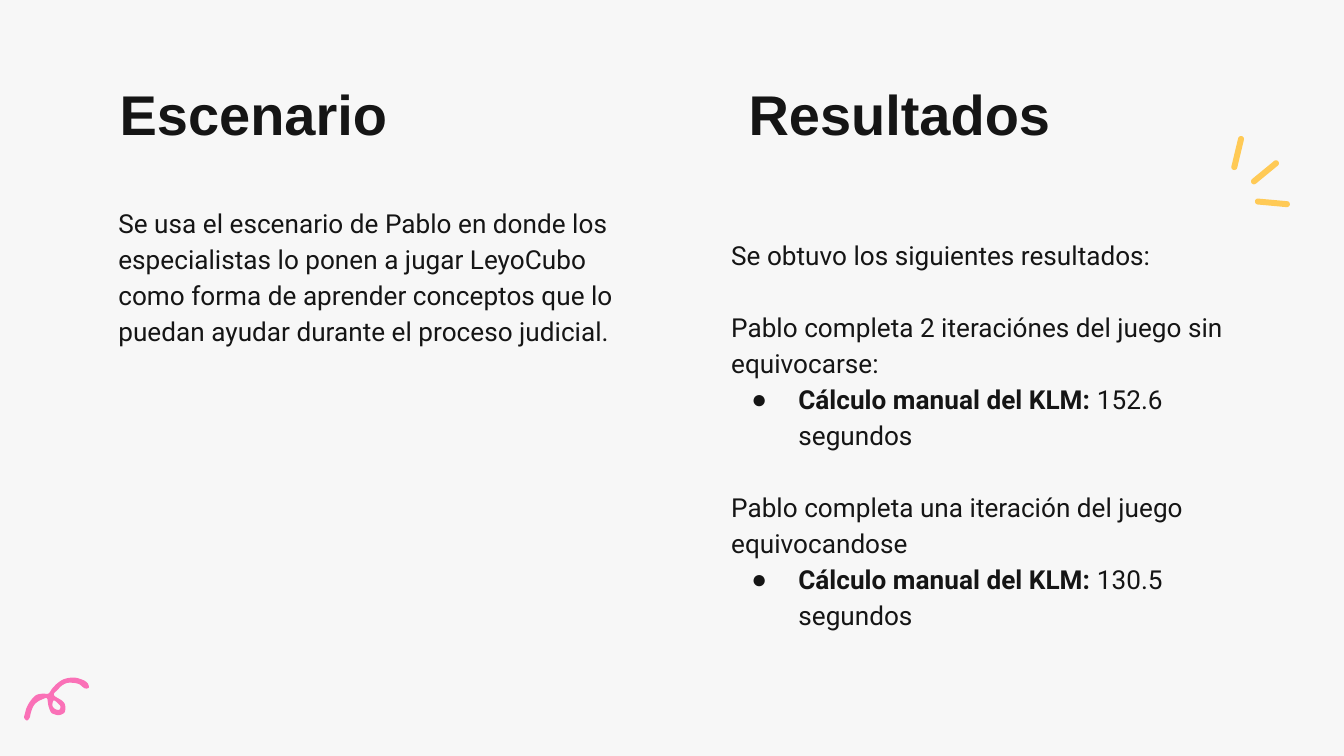
from math import atan2, cos, pi, sin

from lxml.etree import SubElement
from pptx import Presentation
from pptx.dml.color import RGBColor
from pptx.enum.text import MSO_ANCHOR, MSO_AUTO_SIZE, PP_ALIGN
from pptx.oxml.ns import qn
from pptx.util import Pt

INK, PAPER, PINK, GOLD = "151515", "F7F7F7", "FA71B7", "FFCA56"
BLANK = 19.2  # height of one text line, used as the gap between groups

# Squiggle outline and the hole of its loop, on a grid of 49 by 32
GRID = 49, 32
SQUIG = [
    [(37, 0), (30, 1), (25, 4), (21, 8), (18, 12), (14, 12), (9, 13),
     (5, 17), (2, 22), (0.5, 27), (0, 30), (2, 32), (4, 30), (5, 26),
     (7, 21), (10, 18), (14, 16), (17, 15.5), (18, 21), (20, 26),
     (23, 27.5), (26, 28), (30, 26), (30.5, 21), (28.5, 17.5), (22, 13),
     (25, 9), (28, 6), (32, 4), (37, 4), (41, 5), (45, 8), (48, 7.5),
     (47, 4), (43, 1.5)],
    [(22, 17), (26, 20), (27, 22), (26, 24), (23, 23.5), (21, 21)],
]
RAYS = [((5.4, 2), (1.8, 17)), ((24.1, 15), (12.3, 24.7)),
        ((14.4, 35.5), (29.9, 36.9))]


def color(code):
    return RGBColor.from_string(code)


def place(shape, box):
    shape.left, shape.top, shape.width, shape.height = map(Pt, box)


def add_run(para, text, font, size, bold=False):
    run = para.add_run()
    run.text = text
    run.font.name, run.font.size, run.font.bold = font, Pt(size), bold
    run.font.color.rgb = color(INK)


def frame(shape, box):
    place(shape, box)
    text = shape.text_frame
    text.word_wrap = True
    text.auto_size = MSO_AUTO_SIZE.NONE
    text.vertical_anchor = MSO_ANCHOR.TOP
    text.margin_left = text.margin_right = Pt(7.2)
    text.margin_top = text.margin_bottom = Pt(7.2)
    return text


def set_bullet(para, shown):
    props = para._p.get_or_add_pPr()
    props.set("marL", str(Pt(36 if shown else 0)))
    props.set("indent", str(Pt(-25.2 if shown else 0)))
    if not shown:
        SubElement(props, qn("a:buNone"))
        return
    tint = SubElement(props, qn("a:buClr"))
    SubElement(tint, qn("a:srgbClr")).set("val", INK)
    SubElement(props, qn("a:buFont")).set("typeface", "Arial")
    SubElement(props, qn("a:buChar")).set("char", "●")


def add_head(shape, box, text):
    para = frame(shape, box).paragraphs[0]
    para.alignment = PP_ALIGN.LEFT
    para.space_before = Pt(0)
    set_bullet(para, False)
    add_run(para, text, "Arial", 30, True)


def add_body(shape, box, items):
    """Each item is (space before, bold lead or "", text); a lead gets a bullet."""
    text = frame(shape, box)
    for i, (gap, lead, rest) in enumerate(items):
        para = text.add_paragraph() if i else text.paragraphs[0]
        para.alignment = PP_ALIGN.LEFT
        para.line_spacing = 1.15
        para.space_before = Pt(gap)
        set_bullet(para, bool(lead))
        if lead:
            add_run(para, lead, "Roboto", 14, True)
        add_run(para, rest, "Roboto", 14)


def smooth(ring, steps=4):
    """Closed Catmull-Rom curve through the points of the ring."""
    out = []
    for i in range(len(ring)):
        quad = [ring[(i + k) % len(ring)] for k in (-1, 0, 1, 2)]
        for t in (n / steps for n in range(steps)):
            out.append(tuple(
                b + t * ((c - a) + t * ((2 * a - 5 * b + 4 * c - d)
                                        + t * (3 * b - a - 3 * c + d))) / 2
                for a, b, c, d in zip(*quad)))
    return out


def capsule(start, end, width=3.2, steps=8):
    """Outline of a thick line with round ends."""
    turn = atan2(end[1] - start[1], end[0] - start[0])
    out = []
    for (x, y), base in ((end, turn - pi / 2), (start, turn + pi / 2)):
        for n in range(steps + 1):
            angle = base + pi * n / steps
            out.append((x + width / 2 * cos(angle), y + width / 2 * sin(angle)))
    return out


def draw(shapes, box, rings, fill):
    rings = [[(x * 100, y * 100) for x, y in ring] for ring in rings]
    pen = shapes.build_freeform(*rings[0][0], scale=Pt(0.01))
    pen.add_line_segments(rings[0][1:], close=True)
    for ring in rings[1:]:
        pen.move_to(*ring[0])
        pen.add_line_segments(ring[1:], close=True)
    shape = pen.convert_to_shape(Pt(box[0]), Pt(box[1]))
    shape.shadow.inherit = False
    shape.fill.solid()
    shape.fill.fore_color.rgb = color(fill)
    shape.line.fill.background()


def add_squig(slide, box):
    sx, sy = box[2] / GRID[0], box[3] / GRID[1]
    rings = [[(x * sx, y * sy) for x, y in smooth(ring)] for ring in SQUIG]
    draw(slide.shapes, box, rings, PINK)


def add_rays(slide, box):
    group = slide.shapes.add_group_shape()
    for start, end in RAYS:
        draw(group.shapes, box, [capsule(start, end)], GOLD)


def main():
    deck = Presentation()
    deck.slide_width, deck.slide_height = Pt(720), Pt(405)
    slide = deck.slides.add_slide(deck.slide_layouts.get_by_name("Comparison"))
    slide.background.fill.solid()
    slide.background.fill.fore_color.rgb = color(PAPER)
    slots = {s.placeholder_format.idx: s for s in slide.placeholders}
    spare = slots[1].element
    spare.getparent().remove(spare)

    add_squig(slide, (13, 363, 35.3, 23))
    add_rays(slide, (659.5, 72.5, 32, 39))
    add_head(slots[0], (56.9, 35.3, 159, 45.4), "Escenario")
    add_body(slots[2], (56.2, 101.5, 280.8, 261.4), [
        (0, "", "Se usa el escenario de Pablo en donde los especialistas lo "
                "ponen a jugar LeyoCubo como forma de aprender conceptos que "
                "lo puedan ayudar durante el proceso judicial."),
    ])
    add_head(slots[3], (393.8, 35.3, 182, 45.4), "Resultados")
    lead = "Cálculo manual del KLM: "
    add_body(slots[4], (384.5, 118.8, 280.8, 261.4), [
        (0, "", "Se obtuvo los siguientes resultados:"),
        (BLANK, "", "Pablo completa 2 iteraciónes del juego sin equivocarse:"),
        (0, lead, "152.6 segundos"),
        (BLANK, "", "Pablo completa una iteración del juego equivocandose"),
        (0, lead, "130.5 segundos"),
    ])
    deck.save("out.pptx")


if __name__ == "__main__":
    main()
